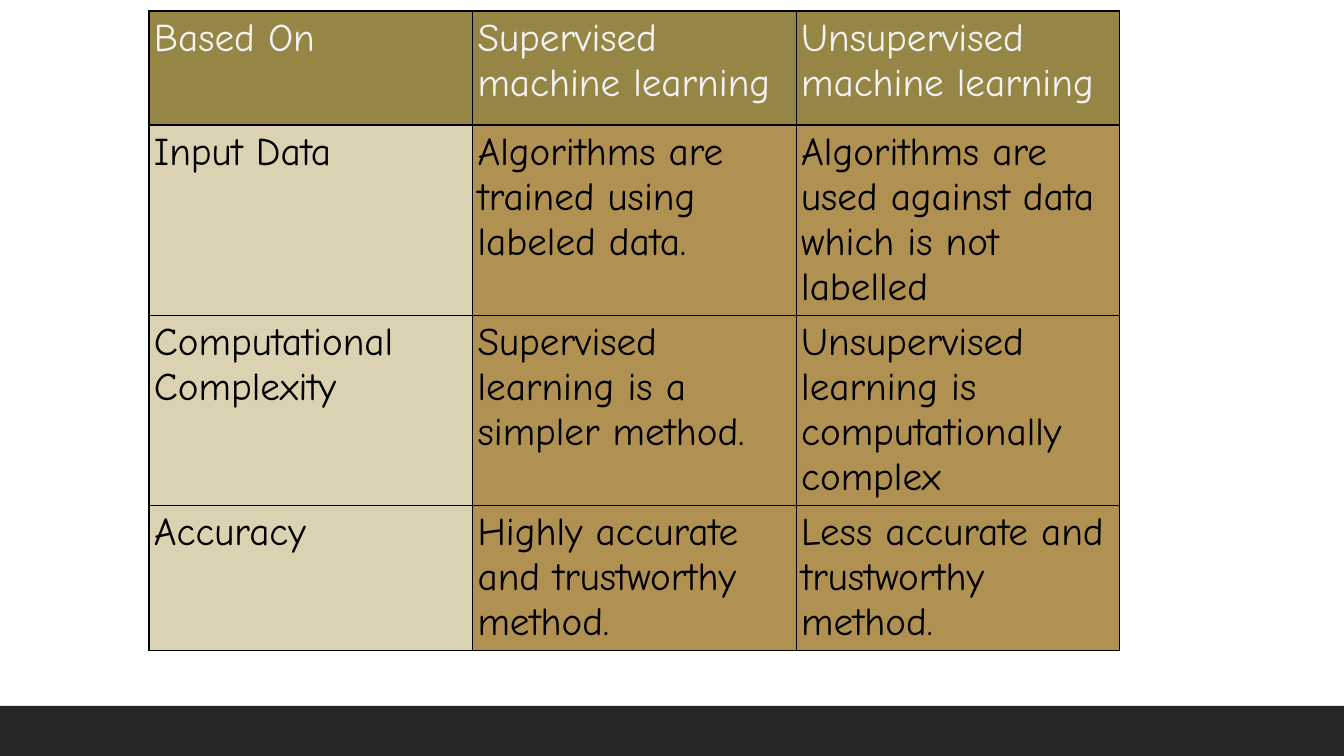
from lxml import etree
from pptx import Presentation
from pptx.dml.color import RGBColor
from pptx.enum.shapes import MSO_SHAPE
from pptx.oxml.ns import qn
from pptx.util import Emu, Pt

RECT = MSO_SHAPE.RECTANGLE
SLIDE_W, SLIDE_H = 1344, 756
FONT = "Comic Neue"
HEADER, LABEL, BODY = "958646", "DAD2B0", "B09151"
LIGHT, BLACK, FOOTER = "F2F2F2", "000000", "262626"


def px(n):
    return Emu(round(n * 914400 / 100.8))


def rgb(color):
    return RGBColor.from_string(color)


prs = Presentation()
prs.slide_width, prs.slide_height = px(SLIDE_W), px(SLIDE_H)
s = prs.slides.add_slide(prs.slide_layouts[6])

# Footer band
band = s.shapes.add_shape(RECT, px(0), px(706), px(SLIDE_W), px(50))
band.shadow.inherit = False
band.fill.solid()
band.fill.fore_color.rgb = rgb(FOOTER)
band.line.fill.background()

# Comparison table
ROWS = [
    ["Based On", "Supervised machine learning", "Unsupervised machine learning"],
    ["Input Data", "Algorithms are trained using labeled data.",
     "Algorithms are used against data which is not labelled"],
    ["Computational Complexity", "Supervised learning is a simpler method.",
     "Unsupervised learning is computationally complex"],
    ["Accuracy", "Highly accurate and trustworthy method.",
     "Less accurate and trustworthy method."],
]
ROW_HEIGHTS = [114, 139, 114, 114]
TABLE_W, TABLE_H = 971, 659
MARGINS = {f"margin_{side}": px(5) for side in ("left", "right", "top", "bottom")}

frame = s.shapes.add_table(len(ROWS), 3, px(149), px(11), px(TABLE_W), px(TABLE_H))
table = frame.table
for row, height in zip(table.rows, ROW_HEIGHTS):
    row.height = px(height)
frame.height = px(TABLE_H)

for i, texts in enumerate(ROWS):
    for j, text in enumerate(texts):
        cell = table.cell(i, j)
        for name, value in MARGINS.items():
            setattr(cell, name, value)

        # Text
        r = cell.text_frame.paragraphs[0].add_run()
        r.text = text
        for name, value in {"name": FONT, "size": Pt(28), "bold": False}.items():
            setattr(r.font, name, value)
        r.font.color.rgb = rgb(BLACK if i else LIGHT)

        # Borders come before the fill in the cell properties
        tcPr = cell._tc.get_or_add_tcPr()
        for edge in ("a:lnL", "a:lnR", "a:lnT", "a:lnB"):
            ln = etree.SubElement(tcPr, qn(edge), w=str(Pt(1)))
            fill = etree.SubElement(ln, qn("a:solidFill"))
            etree.SubElement(fill, qn("a:srgbClr"), val=BLACK)
        cell.fill.solid()
        cell.fill.fore_color.rgb = rgb(HEADER if i == 0 else LABEL if j == 0 else BODY)

prs.save("out.pptx")
